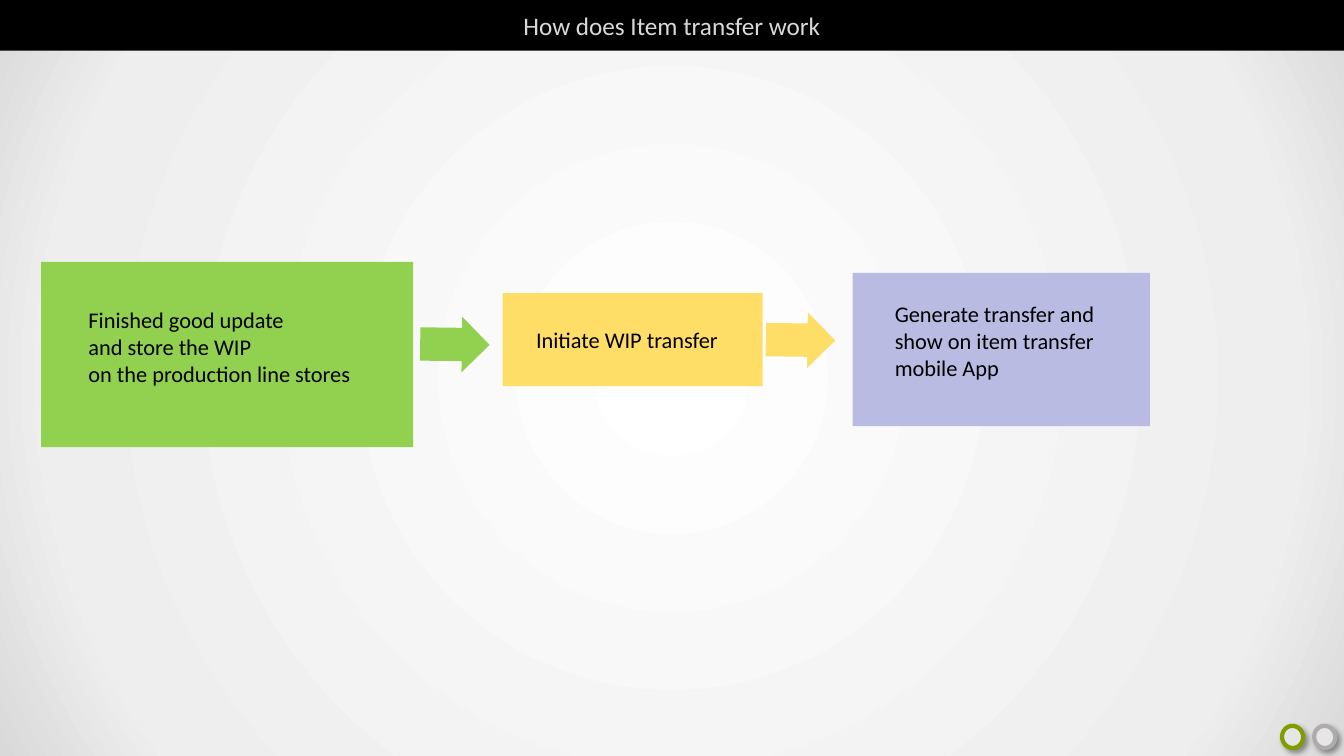
from pptx import Presentation
from pptx.dml.color import RGBColor
from pptx.enum.shapes import MSO_SHAPE as Shape
from pptx.enum.text import MSO_ANCHOR as Anchor, PP_ALIGN as Align
from pptx.oxml import parse_xml
from pptx.oxml.ns import nsdecls
from pptx.util import Cm, Pt

BLACK = RGBColor(0x00, 0x00, 0x00)
SILVER = RGBColor(0xD9, 0xD9, 0xD9)
GREEN = RGBColor(0x92, 0xD0, 0x50)
YELLOW = RGBColor(0xFF, 0xDE, 0x67)
LILAC = RGBColor(0xB9, 0xBB, 0xE3)
PALE = RGBColor(0xE7, 0xE6, 0xE6)
GREY = RGBColor(0xAF, 0xAB, 0xAB)
OLIVE = RGBColor(0x80, 0x9D, 0x00)

WIDE, HIGH = 33.87, 19.05
TITLE = "How does Item transfer work"
STEPS = [
    (["Finished good update", "and store the WIP", "on the production line stores"],
     GREEN, (1.04, 6.6, 9.37, 4.67), (1.98, 7.59, 7.21, 3), False),
    (["Initiate WIP transfer"],
     YELLOW, (12.67, 7.39, 6.55, 2.34), (13.26, 8.1, 6.3, 0.94), True),
    (["Generate transfer and show on item transfer mobile App"],
     LILAC, (21.49, 6.88, 7.49, 3.86), (22.3, 7.44, 6.3, 2.31), True),
]
ARROWS = [(10.59, 7.98, GREEN), (19.3, 7.87, YELLOW)]
DOTS = [(32.31, OLIVE), (33.12, GREY)]
STOPS = [(0, "FFFFFF"), (81, "EEEEEE"), (100, "D9D9D9")]

deck = Presentation()
deck.slide_width, deck.slide_height = Cm(WIDE), Cm(HIGH)
slide = deck.slides.add_slide(deck.slide_layouts[6])


def paint():
    stops = "".join(
        f'<a:gs pos="{pos * 1000}"><a:srgbClr val="{tone}"/></a:gs>'
        for pos, tone in STOPS)
    slide.element.cSld.insert(0, parse_xml(
        f'<p:bg {nsdecls("p", "a")}><p:bgPr><a:gradFill><a:gsLst>{stops}</a:gsLst>'
        '<a:path path="circle"><a:fillToRect l="50000" t="50000" r="50000" b="50000"/>'
        '</a:path></a:gradFill><a:effectLst/></p:bgPr></p:bg>'))


def block(kind, area, tone, edge=None, turn=0):
    shape = slide.shapes.add_shape(kind, *map(Cm, area))
    shape.shadow.inherit = False
    shape.fill.solid()
    shape.fill.fore_color.rgb = tone
    if edge is None:
        shape.line.fill.background()
    else:
        shape.line.color.rgb = edge
        shape.line.width = Pt(3)
    shape.rotation = turn
    return shape


def write(frame, lines, size=16, tone=BLACK, align=Align.LEFT,
          anchor=Anchor.TOP, wrap=True):
    frame.word_wrap = wrap
    frame.vertical_anchor = anchor
    for i, line in enumerate(lines):
        para = frame.paragraphs[0] if i == 0 else frame.add_paragraph()
        para.text = line
        para.alignment = align
        para.font.name = "Calibri"
        para.font.size = Pt(size)
        para.font.color.rgb = tone


def shade(shape):
    effects = shape.element.spPr.find(
        "{http://schemas.openxmlformats.org/drawingml/2006/main}effectLst")
    effects.append(parse_xml(
        f'<a:outerShdw {nsdecls("a")} blurRad="{Pt(4)}" dist="{Pt(3)}" dir="2700000">'
        '<a:srgbClr val="000000"><a:alpha val="40000"/></a:srgbClr></a:outerShdw>'))


paint()
banner = block(Shape.RECTANGLE, (0, -0.02, WIDE, 1.3), BLACK)
write(banner.text_frame, [TITLE], size=18, tone=SILVER,
      align=Align.CENTER, anchor=Anchor.MIDDLE)

for lines, tone, area, inner, wrap in STEPS:
    block(Shape.RECTANGLE, area, tone)
    label = slide.shapes.add_textbox(*map(Cm, inner))
    write(label.text_frame, lines, wrap=wrap)

for left, top, tone in ARROWS:
    arrow = block(Shape.RIGHT_ARROW, (left, top, 1.75, 1.4), tone, turn=0.8)
    arrow.adjustments[0] = 0.6
    arrow.adjustments[1] = 0.5

for left, edge in DOTS:
    shade(block(Shape.OVAL, (left, 18.29, 0.53, 0.56), PALE, edge=edge, turn=348.9))

deck.save("out.pptx")
